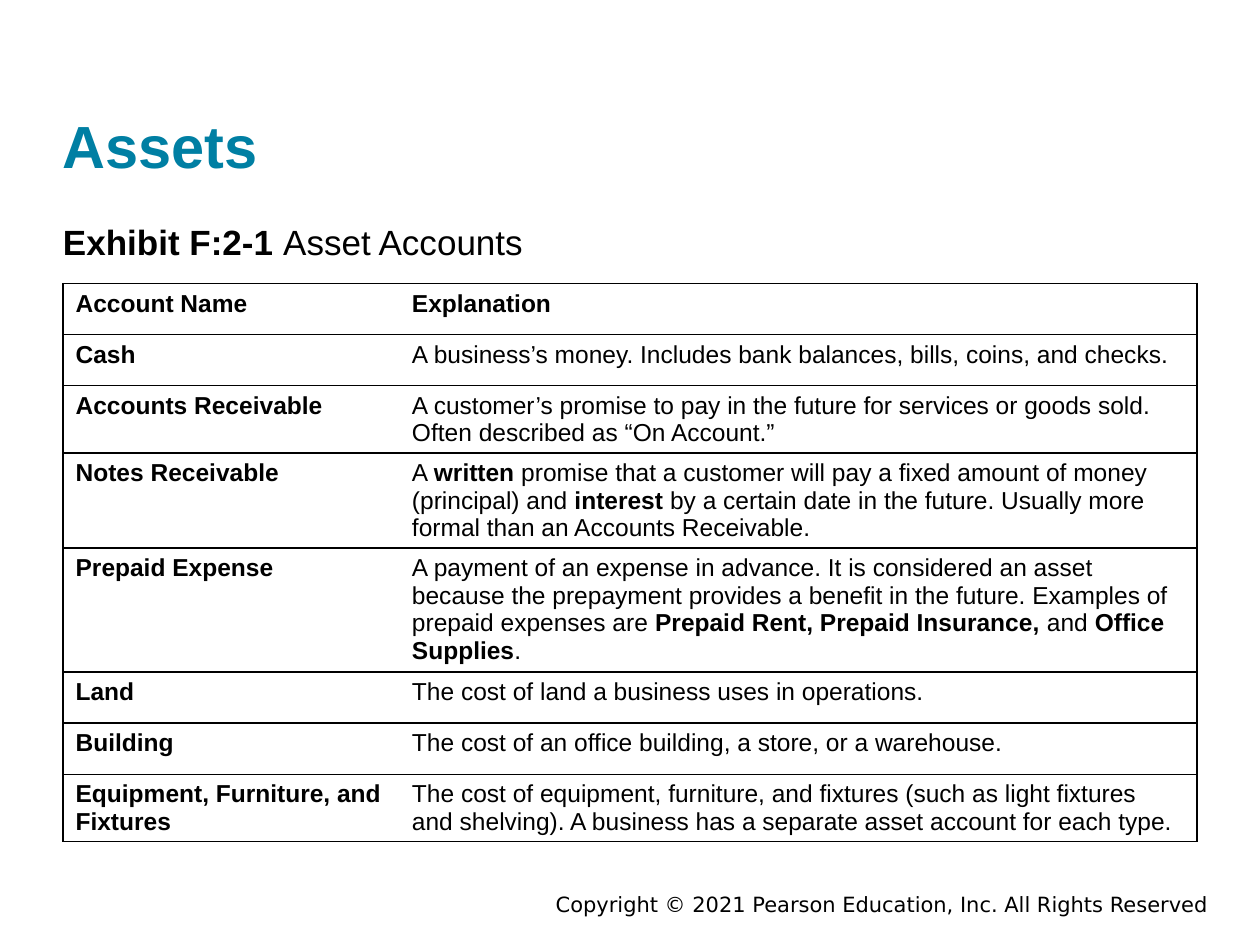
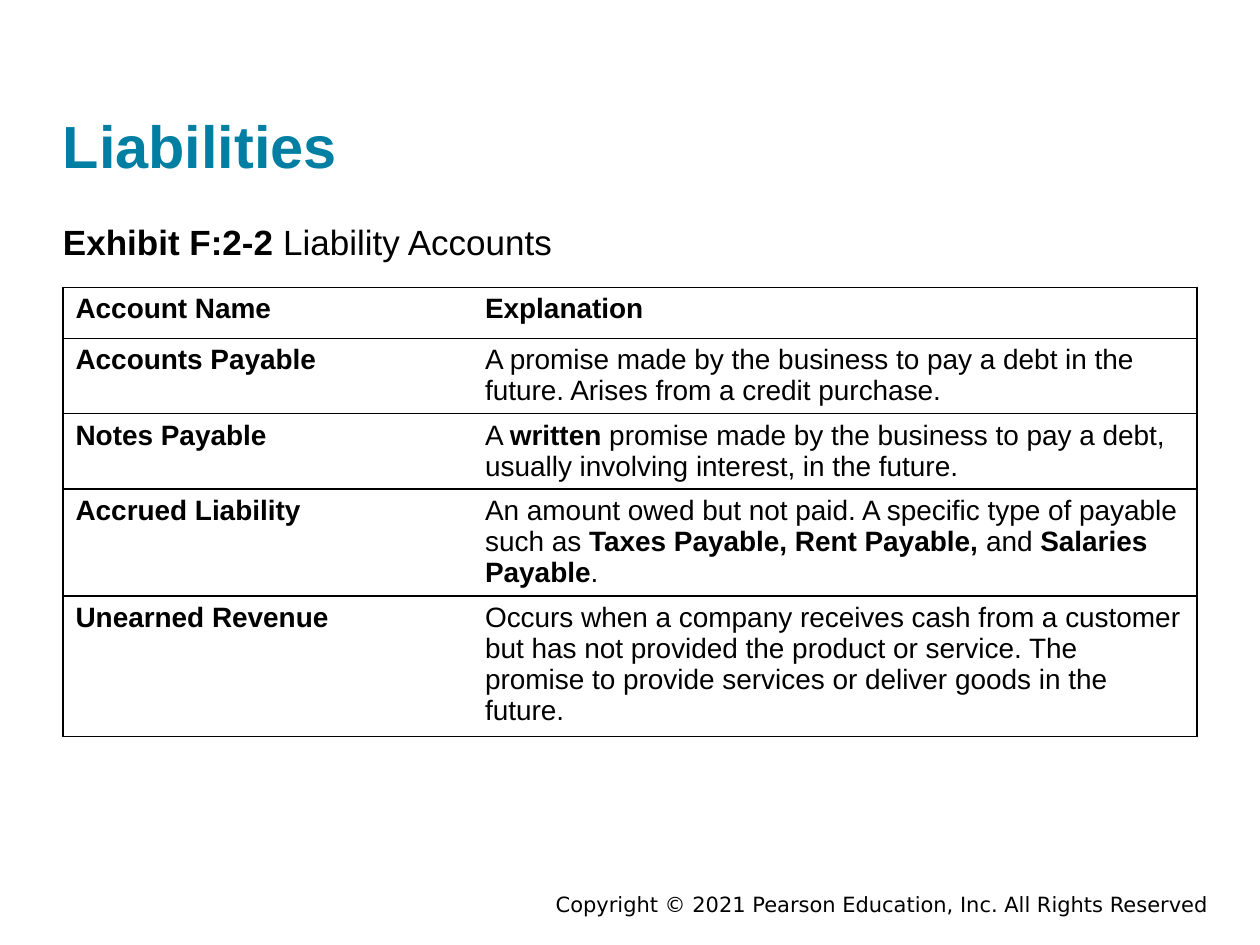
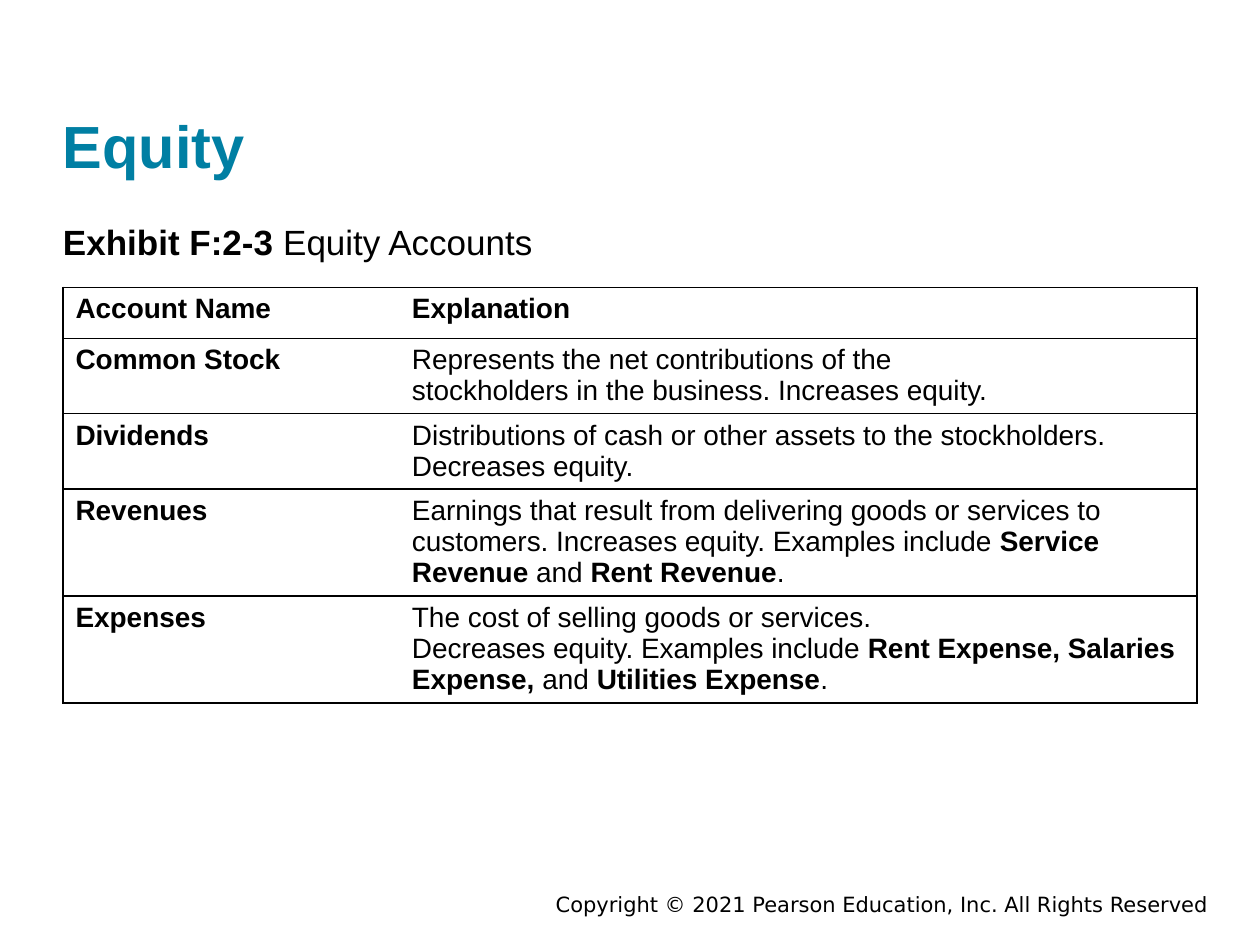
from lxml import etree
from pptx import Presentation
from pptx.dml.color import RGBColor
from pptx.enum.text import MSO_ANCHOR, MSO_AUTO_SIZE, PP_ALIGN
from pptx.oxml.ns import qn
from pptx.util import Inches, Pt

TEAL = RGBColor(0x00, 0x7F, 0xA3)
BLACK = RGBColor(0x00, 0x00, 0x00)
BODY_FONT = "Arial"
FOOTER_FONT = "DejaVu Sans"
ALIGN_RIGHT = PP_ALIGN.RIGHT
ANCHOR_BOTTOM = MSO_ANCHOR.BOTTOM
GROW_SHAPE = MSO_AUTO_SIZE.SHAPE_TO_FIT_TEXT

LEFT, WIDTH = 0.5, 9
POINTS_PER_INCH = 72
LEAST_ROW_HEIGHT = 29.2 / POINTS_PER_INCH
LINE_FACTOR = 1.12
ROW_PADDING = 0.1
TITLE_BOX = (LEFT, 0.23, WIDTH, 1.2)
CAPTION_BOX = (LEFT, 1.75, WIDTH, 0.4)
FOOTER_BOX = (3.06, 7.03, 6.63, 0.3)
FOOTER_TEXT = "Copyright © 2021 Pearson Education, Inc. All Rights Reserved"
HEADER_ROW = ("Account Name", 1, "**Explanation**")

# Each account has a name, a count of text lines and an explanation.
# Text between double asterisks is bold; a line break starts a paragraph.
EXHIBITS = [
    {
        "title": "Assets",
        "caption": "**Exhibit F:2-1 **Asset Accounts",
        "table_top": 2.25, "name_width": 2.67, "size": 14,
        "accounts": [
            ("Cash", 1, "A business’s money. Includes bank balances, bills, coins, "
             "and checks."),
            ("Accounts Receivable", 2, "A customer’s promise to pay in the future for "
             "services or goods sold. Often described as “On Account.”"),
            ("Notes Receivable", 3, "A **written** promise that a customer will pay a "
             "fixed amount of money (principal) and **interest** by a certain date "
             "in the future. Usually more formal than an Accounts Receivable."),
            ("Prepaid Expense", 4, "A payment of an expense in advance. It is "
             "considered an asset because the prepayment provides a benefit in the "
             "future. Examples of prepaid expenses are **Prepaid Rent, Prepaid "
             "Insurance, **and** Office Supplies**."),
            ("Land", 1, "The cost of land a business uses in operations."),
            ("Building", 1, "The cost of an office building, a store, or a "
             "warehouse."),
            ("Equipment, Furniture, and Fixtures", 2, "The cost of equipment, "
             "furniture, and fixtures (such as light fixtures and shelving). A "
             "business has a separate asset account for each type."),
        ],
    },
    {
        "title": "Liabilities",
        "caption": "**Exhibit F:2-2 **Liability Accounts",
        "table_top": 2.28, "name_width": 3.25, "size": 16,
        "accounts": [
            ("Accounts Payable", 2, "A promise made by the business to pay a debt in "
             "the future. Arises from a credit purchase."),
            ("Notes Payable", 2, "A **written** promise made by the business to pay a "
             "debt, usually involving interest, in the future."),
            ("Accrued Liability", 3, "An amount owed but not paid. A specific type of "
             "payable such as **Taxes Payable, Rent Payable, **and** Salaries "
             "Payable**."),
            ("Unearned Revenue", 4, "Occurs when a company receives cash from a "
             "customer but has not provided the product or service. The promise to "
             "provide services or deliver goods in the future."),
        ],
    },
    {
        "title": "Equity",
        "caption": "**Exhibit F:2-3 **Equity Accounts",
        "table_top": 2.28, "name_width": 2.67, "size": 16,
        "accounts": [
            ("Common Stock", 2, "Represents the net contributions of the\n"
             "stockholders in the business. Increases equity."),
            ("Dividends", 2, "Distributions of cash or other assets to the "
             "stockholders. Decreases equity."),
            ("Revenues", 3, "Earnings that result from delivering goods or services "
             "to customers. Increases equity. Examples include **Service Revenue** "
             "and **Rent Revenue**."),
            ("Expenses", 3, "The cost of selling goods or services.\n"
             "Decreases equity. Examples include **Rent Expense, Salaries Expense, "
             "**and **Utilities Expense**."),
        ],
    },
]


def write_text(text_frame, text, size, color=BLACK, font_name=BODY_FONT):
    for index, line in enumerate(text.split("\n")):
        paragraph = text_frame.add_paragraph() if index else text_frame.paragraphs[0]
        paragraph.font.name = font_name
        paragraph.font.size = Pt(size)
        paragraph.font.color.rgb = color
        for part_index, part in enumerate(line.split("**")):
            if part:
                run = paragraph.add_run()
                run.text = part
                run.font.name = font_name
                run.font.size = Pt(size)
                run.font.color.rgb = color
                run.font.bold = part_index % 2 == 1


def add_text_box(slide, box, inset=True):
    text_frame = slide.shapes.add_textbox(*map(Inches, box)).text_frame
    text_frame.word_wrap = True
    if not inset:
        text_frame.margin_left = text_frame.margin_right = 0
        text_frame.margin_top = text_frame.margin_bottom = 0
    return text_frame


def add_title(slide, box, title):
    text_frame = add_text_box(slide, box, inset=False)
    text_frame.vertical_anchor = ANCHOR_BOTTOM
    write_text(text_frame, f"**{title}**", 34, TEAL)


def add_caption(slide, box, caption):
    write_text(add_text_box(slide, box, inset=False), caption, 20)


def add_footer(slide, box):
    text_frame = add_text_box(slide, box)
    text_frame.auto_size = GROW_SHAPE
    write_text(text_frame, FOOTER_TEXT, 12, font_name=FOOTER_FONT)
    text_frame.paragraphs[0].alignment = ALIGN_RIGHT


def set_borders(cell, open_side):
    """Draw a thin line on every side of the cell but the open one."""
    properties = cell._tc.get_or_add_tcPr()
    for side in ("lnL", "lnR", "lnT", "lnB"):
        line = etree.SubElement(properties, qn(f"a:{side}"), w=str(Pt(1)))
        if side == open_side:
            etree.SubElement(line, qn("a:noFill"))
        else:
            fill = etree.SubElement(line, qn("a:solidFill"))
            etree.SubElement(fill, qn("a:srgbClr"), val=str(BLACK))


def get_row_height(line_count, size):
    text_height = line_count * size * LINE_FACTOR / POINTS_PER_INCH
    return max(LEAST_ROW_HEIGHT, text_height + ROW_PADDING)


def add_account_table(slide, box, name_width, size, accounts):
    rows = [HEADER_ROW, *accounts]
    heights = [get_row_height(line_count, size) for _, line_count, _ in rows]
    left, top, width = box
    table = slide.shapes.add_table(
        len(rows), 2, Inches(left), Inches(top), Inches(width),
        Inches(sum(heights))).table
    table.first_row = table.horz_banding = False
    table.columns[0].width = Inches(name_width)
    table.columns[1].width = Inches(width - name_width)
    for row_index, (name, _, explanation) in enumerate(rows):
        table.rows[row_index].height = Inches(heights[row_index])
        cells = ((f"**{name}**", "lnR"), (explanation, "lnL"))
        for column_index, (text, open_side) in enumerate(cells):
            cell = table.cell(row_index, column_index)
            set_borders(cell, open_side)
            cell.fill.background()
            cell.margin_bottom = 0
            write_text(cell.text_frame, text, size)


def add_exhibit_slide(presentation, exhibit):
    slide = presentation.slides.add_slide(presentation.slide_layouts[6])
    add_footer(slide, FOOTER_BOX)
    add_title(slide, TITLE_BOX, exhibit["title"])
    add_caption(slide, CAPTION_BOX, exhibit["caption"])
    add_account_table(slide, (LEFT, exhibit["table_top"], WIDTH),
                      exhibit["name_width"], exhibit["size"], exhibit["accounts"])


def main():
    presentation = Presentation()
    presentation.slide_width = Inches(10)
    presentation.slide_height = Inches(7.5)
    for exhibit in EXHIBITS:
        add_exhibit_slide(presentation, exhibit)
    presentation.save("out.pptx")


if __name__ == "__main__":
    main()
